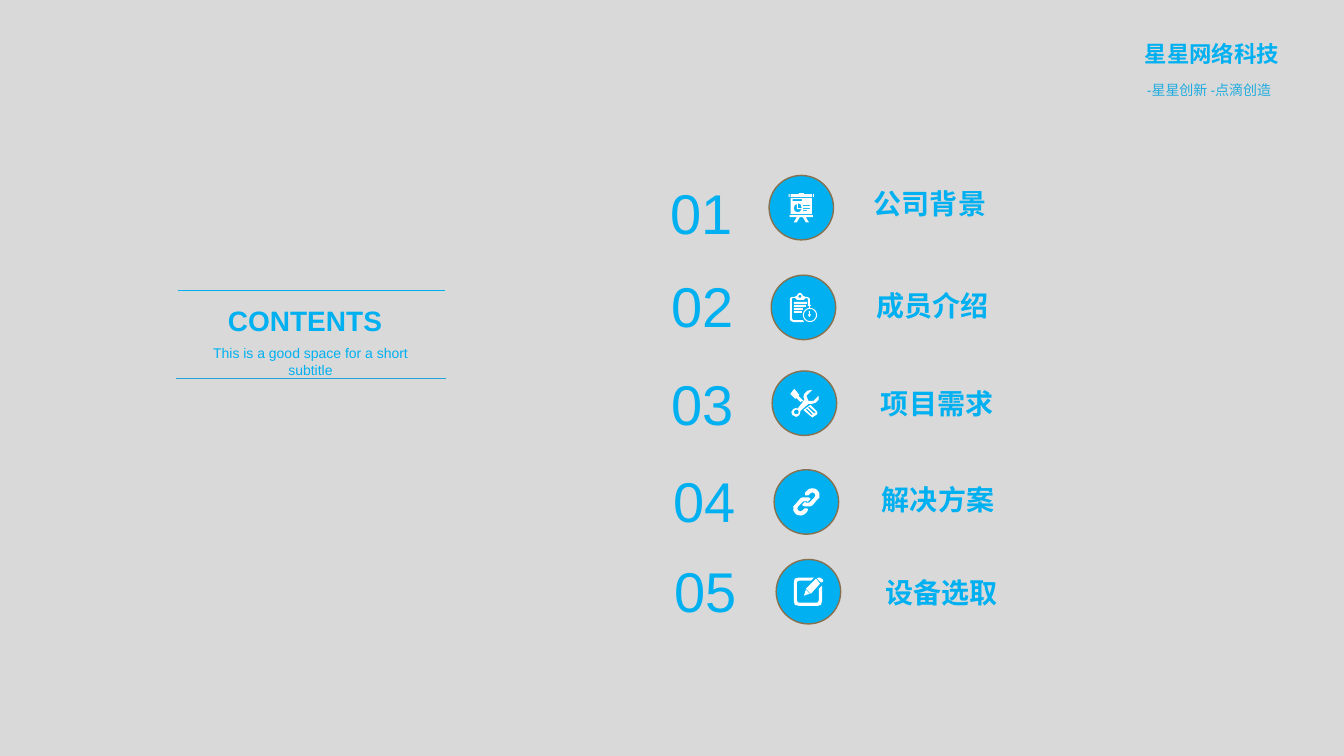
from math import cos, sin, tau
from lxml.etree import SubElement as Sub
from pptx import Presentation
from pptx.dml.color import RGBColor
from pptx.enum.shapes import MSO_CONNECTOR as Link, MSO_SHAPE as Kind
from pptx.enum.text import PP_ALIGN as Align
from pptx.oxml.ns import qn
from pptx.util import Inches, Pt

BLUE, WHITE, GREY, BROWN = "00B0F0", "FFFFFF", "D9D9D9", "88714E"
LATIN, HAN = "Arial", "Noto Sans CJK SC"

# Icon outlines in hundredths of an inch:
# 3 numbers are a disc (centre, radius), 4 a box (corners), more a polygon.
BOARD = [
    (2, 1, 23, 4), (10, 0, 15, 1), (24, 1, 25, 4), (0, 1, 1, 4),
    (2, 5, 23, 21), (14, 17, 18, 18), (14, 15, 21, 16), (14, 12, 21, 13),
    (9, 19, 11, 18.5, 13, 16, 8, 16, 8, 11, 6, 12, 5, 15, 6, 18),
    (13, 15, 12, 11.5, 9, 10, 9, 15), (4, 6, 13, 8), (1, 22, 24, 24),
    (11, 24, 8, 29, 5, 29, 8, 24), (20, 29, 17, 29, 14, 24, 17, 24),
]
CLIP = [
    (20, 22, 7), (20, 22, 6), (18, 12, 21, 13), (19, 13, 20, 15),
    (19, 18, 20, 18, 20, 21, 21, 22, 20, 23, 20, 24, 19, 24, 19, 23,
     18, 22, 19, 21),
    (4, 18, 12, 20), (4, 15, 13, 17), (4, 9, 17, 11), (4, 12, 16, 14),
    (18, 8, 18, 6, 16, 5, 14, 7, 7, 7, 5, 5, 3, 5, 2, 6, 2, 24, 3, 27,
     13, 27, 14, 29, 4, 29, 1, 28, 0, 26, 0, 6, 1, 4.5, 4, 4, 5, 4, 7, 3,
     8, 1, 10, 0, 12, 1, 13, 3, 14, 3, 15, 4, 17, 4, 19, 5, 20, 6, 20, 12,
     18, 12),
    (10, 3.5, 1.5),
]
TOOLS = [
    (18, 15, 21, 15, 25, 14, 28, 11, 28, 7, 23, 12, 18, 12, 16, 7, 22, 1,
     21, 1, 17, 2, 14, 5, 13, 8, 14, 11, 7, 20, 6, 19, 3, 20, 1, 23, 2, 26,
     6, 28, 9, 26, 10, 23, 10, 22),
    (6, 23, 2.3),
    (6, 9, 10, 13, 13, 12, 8, 7, 9, 6, 4, 0, 0, 5, 5, 10),
    (20, 16, 13, 21, 20, 27, 22, 28.5, 24, 27, 26, 26, 27, 24, 26, 22),
    (22, 26, 21, 26, 16, 21, 16, 20, 17, 20, 22, 25),
    (25, 24, 23, 24, 18, 19, 18, 18, 19, 18, 25, 23),
]
HOOK = (24, 2, 22, 0.5, 19, 0, 16, 0.5, 14, 2, 12, 4, 11.5, 6, 12, 7, 15, 7,
        17, 5, 19, 4, 21, 5, 22, 7, 21, 9, 16, 14, 14, 14.5, 12, 14, 12, 13,
        9, 16, 9, 17, 11, 18, 14, 18, 17, 18, 19, 17, 24, 11, 26, 9, 26, 5)
# The second hook of the chain is the first one turned by half a circle.
CHAIN = [HOOK, tuple((27 if n % 2 else 26) - v for n, v in enumerate(HOOK))]
PEN = [
    (29, 5, 27, 6, 23, 2, 24, 1, 26, 1, 29, 3),
    (17, 17, 12, 12, 22, 2, 26, 7), (16, 17, 10, 19, 12, 13),
    (6, 4, 4, 4.5, 3, 6, 3, 23, 4, 25.5, 6, 26, 22, 26, 24, 25.5, 25, 23,
     25, 12, 28, 9, 28, 24, 27, 28, 24, 29, 5, 29, 1, 28, 0, 24, 0, 6,
     1, 2, 5, 1, 20, 1, 17, 4),
]

# Title, icon, then left and top of number, circle and title in percent
ITEMS = [
    ("公司背景", BOARD, (49.12, 22.93), (57.22, 23.2), (65.02, 24.67)),
    ("成员介绍", CLIP, (49.2, 35.33), (57.38, 36.4), (65.18, 38.13)),
    ("项目需求", TOOLS, (49.2, 48.27), (57.45, 49.07), (65.55, 51.07)),
    ("解决方案", CHAIN, (49.35, 61.07), (57.6, 62.13), (65.62, 63.87)),
    ("设备选取", PEN, (49.42, 72.93), (57.75, 74), (65.85, 76.13)),
]


def paint(hue):
    return RGBColor.from_string(hue)


def trace(part):
    """Corner points of one icon part, in thousandths of an inch."""
    if len(part) == 3:
        x, y, r = part
        pts = [(x + r * cos(tau * n / 24), y + r * sin(tau * n / 24))
               for n in range(24)]
    elif len(part) == 4:
        l, t, r, b = part
        pts = [(l, t), (r, t), (r, b), (l, b)]
    else:
        pts = list(zip(part[::2], part[1::2]))
    return [(x * 10, y * 10) for x, y in pts]


class Deck:
    """One slide; places and sizes are percent of its width and height."""

    def __init__(self):
        self.prs = Presentation()
        self.prs.slide_width = self.wide = Inches(13.33)
        self.prs.slide_height = self.high = Inches(7.5)
        self.slide = self.prs.slides.add_slide(self.prs.slide_layouts[6])
        self.shapes = self.slide.shapes
        fill = self.slide.background.fill
        fill.solid()
        fill.fore_color.rgb = paint(GREY)

    def spot(self, *vals):
        return [round((self.high if n % 2 else self.wide) * v / 100)
                for n, v in enumerate(vals)]

    def text(self, at, words, size, hue=BLUE, bold=False, font=LATIN,
             mid=False, wrap=True, inset=True, edge=0):
        frame = self.shapes.add_textbox(*self.spot(*at)).text_frame
        frame.word_wrap = wrap
        if not inset:
            frame.margin_left = frame.margin_right = 0
            frame.margin_top = frame.margin_bottom = 0
        frame.text = words
        para = frame.paragraphs[0]
        para.alignment = Align.CENTER if mid else Align.LEFT
        run = para.runs[0]
        run.font.size, run.font.bold, run.font.name = Pt(size), bold, font
        run.font.color.rgb = paint(hue)
        props = run.font._element
        Sub(props, qn("a:ea")).set("typeface", HAN)
        if edge:
            line = Sub(props, qn("a:ln"), w=str(Pt(edge)))
            solid = Sub(line, qn("a:solidFill"))
            Sub(solid, qn("a:srgbClr")).set("val", hue)
            props.insert(0, line)

    def rule(self, x, end, y, hue):
        line = self.shapes.add_connector(
            Link.STRAIGHT, *self.spot(x, y, end, y))
        line.line.color.rgb = paint(hue)
        line.line.width = Pt(0.5)
        Sub(line._element.spPr, qn("a:effectLst"))

    def badge(self, at, icon):
        """A ringed disc with the icon in its centre."""
        group = self.shapes.add_group_shape().shapes
        disc = group.add_shape(Kind.OVAL, *self.spot(*at, 4.8, 8.53))
        disc.line.color.rgb = paint(BROWN)
        disc.line.width = Pt(1)
        first, *rest = [trace(part) for part in icon]
        pen = group.build_freeform(*first[0], scale=self.wide / 13330)
        pen.add_line_segments(first[1:], close=True)
        for pts in rest:
            pen.move_to(*pts[0])
            pen.add_line_segments(pts[1:], close=True)
        sign = pen.convert_to_shape(disc.left, disc.top)
        sign.left = disc.left + (disc.width - sign.width) // 2
        sign.top = disc.top + (disc.height - sign.height) // 2
        sign.line.fill.background()
        for shape, hue in ((disc, BLUE), (sign, WHITE)):
            shape.shadow.inherit = False
            shape.fill.solid()
            shape.fill.fore_color.rgb = paint(hue)


def main():
    deck = Deck()
    deck.text((84.45, 4.67, 13.65, 4.93), "星星网络科技", 16, bold=True,
              font=HAN, edge=0.75)
    deck.text((84.6, 10.13, 11.25, 3.73), "-星星创新 -点滴创造", 10, "21ACDF")
    deck.rule(13.28, 33.15, 38.4, BLUE)
    deck.rule(13.12, 33.22, 50, "20A3DA")
    deck.text((15.68, 39.47, 14.02, 5.73), "CONTENTS", 20, bold=True, mid=True)
    deck.text((13.35, 44.93, 19.5, 3.6),
              "This is a good space for a short subtitle", 10, mid=True)
    for n, (title, icon, num, disc, name) in enumerate(ITEMS, 1):
        deck.text((*num, 6.82, 10.27), f"{n:02}", 40, wrap=False)
        deck.badge(disc, icon)
        deck.text((*name, 16.5, 4.8), title, 20, bold=True, inset=False)
    deck.prs.save("out.pptx")


if __name__ == "__main__":
    main()
